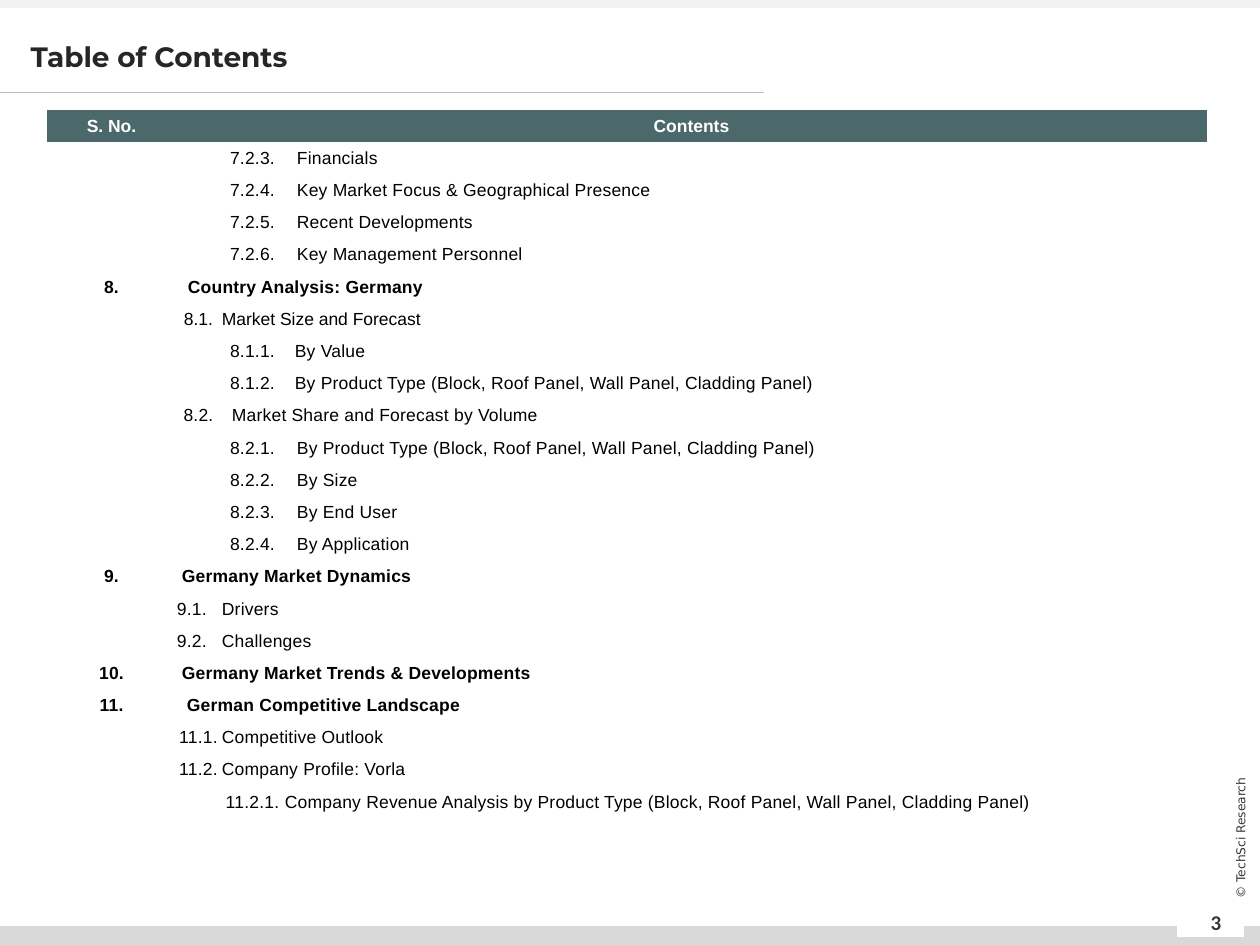
from dataclasses import dataclass

from lxml.etree import SubElement
from pptx import Presentation
from pptx.dml.color import RGBColor
from pptx.enum.shapes import MSO_CONNECTOR, MSO_SHAPE
from pptx.enum.text import MSO_ANCHOR as ANCHOR, PP_ALIGN as ALIGN
from pptx.oxml.ns import qn
from pptx.util import Emu, Pt

SLIDE_W, SLIDE_H = 1260, 945
NO_GRID_STYLE = "{2D5ABB26-0587-4C30-8999-92F81FD0307C}"


@dataclass(frozen=True)
class Theme:
    title: str = "262626"
    ink: str = "000000"
    paper: str = "FFFFFF"
    header: str = "4B696B"
    muted: str = "3B3838"
    rule: str = "BFBFBF"
    top_band: str = "F2F2F2"
    bottom_band: str = "D9D9D9"
    title_font: str = "Montserrat"
    table_font: str = "Arial"
    number_font: str = "Calibri"
    credit_font: str = "DejaVu Sans"
    title_size: int = 16
    table_size: int = 10
    number_size: int = 12
    credit_size: int = 7
    letter_spacing: int = 13


THEME = Theme()
COLUMNS = [129, 45, 63, 806, 117]
WIDE, HEADING, MIDDLE, SMALL, TIGHT = 13, 12, 11, 6, 1
ENTRIES = [
    ("7.2.3.", "Financials", WIDE),
    ("7.2.4.", "Key Market Focus & Geographical Presence", WIDE),
    ("7.2.5.", "Recent Developments", WIDE),
    ("7.2.6.", "Key Management Personnel", WIDE),
    ("8.", "Country Analysis: Germany", HEADING),
    ("8.1.", "Market Size and Forecast", TIGHT),
    ("8.1.1.", "By Value", MIDDLE),
    ("8.1.2.", "By Product Type (Block, Roof Panel, Wall Panel, Cladding Panel)", MIDDLE),
    ("8.2.", "Market Share and Forecast by Volume", MIDDLE),
    ("8.2.1.", "By Product Type (Block, Roof Panel, Wall Panel, Cladding Panel)", WIDE),
    ("8.2.2.", "By Size", WIDE),
    ("8.2.3.", "By End User", WIDE),
    ("8.2.4.", "By Application", WIDE),
    ("9.", "Germany Market Dynamics", SMALL),
    ("9.1.", "Drivers", TIGHT),
    ("9.2.", "Challenges", TIGHT),
    ("10.", "Germany Market Trends & Developments", SMALL),
    ("11.", "German Competitive Landscape", MIDDLE),
    ("11.1.", "Competitive Outlook", TIGHT),
    ("11.2.", "Company Profile: Vorla", TIGHT),
    ("11.2.1.", "Company Revenue Analysis by Product Type "
     "(Block, Roof Panel, Wall Panel, Cladding Panel)", TIGHT),
]
LEFT_NUMBERS = {"9.1.", "9.2."}
UNSPACED_NUMBERS = {"8.1."}


def px(n):
    return Emu(round(n * 914400 / 126))


def rgb(color):
    return RGBColor.from_string(color)


def write(tf, text, font, size, color, bold=False, align=ALIGN.LEFT):
    tf.text = text
    p = tf.paragraphs[0]
    p.alignment = align
    r = p.runs[0]
    r.font.name, r.font.size, r.font.bold = font, Pt(size), bold
    r.font.color.rgb = rgb(color)
    return p, r


def add_band(slide, box, color):
    s = slide.shapes.add_shape(MSO_SHAPE.RECTANGLE, *map(px, box))
    s.shadow.inherit = False
    s.fill.solid()
    s.fill.fore_color.rgb = rgb(color)
    s.line.fill.background()


def add_label(slide, box, text, font, size, bold=False, rotation=0):
    s = slide.shapes.add_textbox(*map(px, box))
    s.rotation = rotation
    tf = s.text_frame
    tf.word_wrap = True
    tf.vertical_anchor = ANCHOR.MIDDLE
    tf.margin_left = tf.margin_right = tf.margin_top = tf.margin_bottom = 0
    write(tf, text, font, size, THEME.muted, bold, ALIGN.CENTER)


def add_title(slide, box, text):
    s = slide.shapes.title
    s.left, s.top, s.width, s.height = map(px, box)
    tf = s.text_frame
    tf.word_wrap = True
    tf.vertical_anchor = ANCHOR.MIDDLE
    p, _ = write(tf, text, THEME.title_font, THEME.title_size, THEME.title, True)
    p.line_spacing = 0.9


def add_frame(slide, box):
    x, y, w, h = box
    rule = slide.shapes.add_connector(
        MSO_CONNECTOR.STRAIGHT, px(x), px(y + 92), px(x + 764), px(y + 92))
    rule.line.color.rgb = rgb(THEME.rule)
    rule.line.width = Pt(0.5)
    SubElement(rule._element.spPr, qn("a:effectLst"))
    add_band(slide, (x, y + h - 19, w, 19), THEME.bottom_band)
    add_band(slide, (x, y, w, 8), THEME.top_band)
    add_band(slide, (x + w - 83, y + h - 36, 67, 28), THEME.paper)
    add_label(slide, (x + w - 75, y + h - 48, 62, 50), "3",
              THEME.number_font, THEME.number_size, True)
    add_label(slide, (x + w - 95, y + h - 117, 151, 20), "© TechSci Research",
              THEME.credit_font, THEME.credit_size, rotation=270)


def fill_cell(cell, text, color, bold, align):
    _, r = write(cell.text_frame, text, THEME.table_font, THEME.table_size,
                 color, bold, align)
    return r


def fill_entry(table, row, number, text, indent):
    last = len(COLUMNS) - 1
    level = number.count(".") - 1
    number_align = ALIGN.LEFT if number in LEFT_NUMBERS else ALIGN.CENTER
    table.cell(row, level + 1).merge(table.cell(row, last))
    parts = ((number, number_align, TIGHT), (text, ALIGN.LEFT, indent))
    for col, (words, align, margin) in enumerate(parts, level):
        cell = table.cell(row, col)
        cell.margin_left, cell.margin_right = px(margin), px(TIGHT)
        r = fill_cell(cell, words, THEME.ink, level == 0, align)
        if number not in UNSPACED_NUMBERS:
            r._r.get_or_add_rPr().set("spc", str(THEME.letter_spacing))


def add_contents(slide, box):
    table = slide.shapes.add_table(
        len(ENTRIES) + 1, len(COLUMNS), *map(px, box)).table
    table.horz_banding = False
    table._tbl.tblPr.find(qn("a:tableStyleId")).text = NO_GRID_STYLE
    for column, width in zip(table.columns, COLUMNS):
        column.width = px(width)
    for row in table.rows:
        row.height = px(box[3] / len(table.rows))
    for cell in table.iter_cells():
        cell.fill.background()
        cell.vertical_anchor = ANCHOR.MIDDLE
        cell.margin_top = cell.margin_bottom = 0
        SubElement(cell.text_frame.paragraphs[0]._p, qn("a:endParaRPr"),
                   sz=str(THEME.table_size * 100))

    table.cell(0, 1).merge(table.cell(0, len(COLUMNS) - 1))
    for col, text in enumerate(("S. No.", "Contents")):
        cell = table.cell(0, col)
        cell.fill.solid()
        cell.fill.fore_color.rgb = rgb(THEME.header)
        fill_cell(cell, text, THEME.paper, True, ALIGN.CENTER)

    for row, entry in enumerate(ENTRIES, 1):
        fill_entry(table, row, *entry)


def main():
    prs = Presentation()
    prs.slide_width, prs.slide_height = px(SLIDE_W), px(SLIDE_H)
    slide = prs.slides.add_slide(prs.slide_layouts[5])
    add_frame(slide, (0, 0, SLIDE_W, SLIDE_H))
    add_title(slide, (18, 27, 1084, 63), "Table of Contents")
    add_contents(slide, (47, 110, sum(COLUMNS), 709))
    prs.save("out.pptx")


if __name__ == "__main__":
    main()
